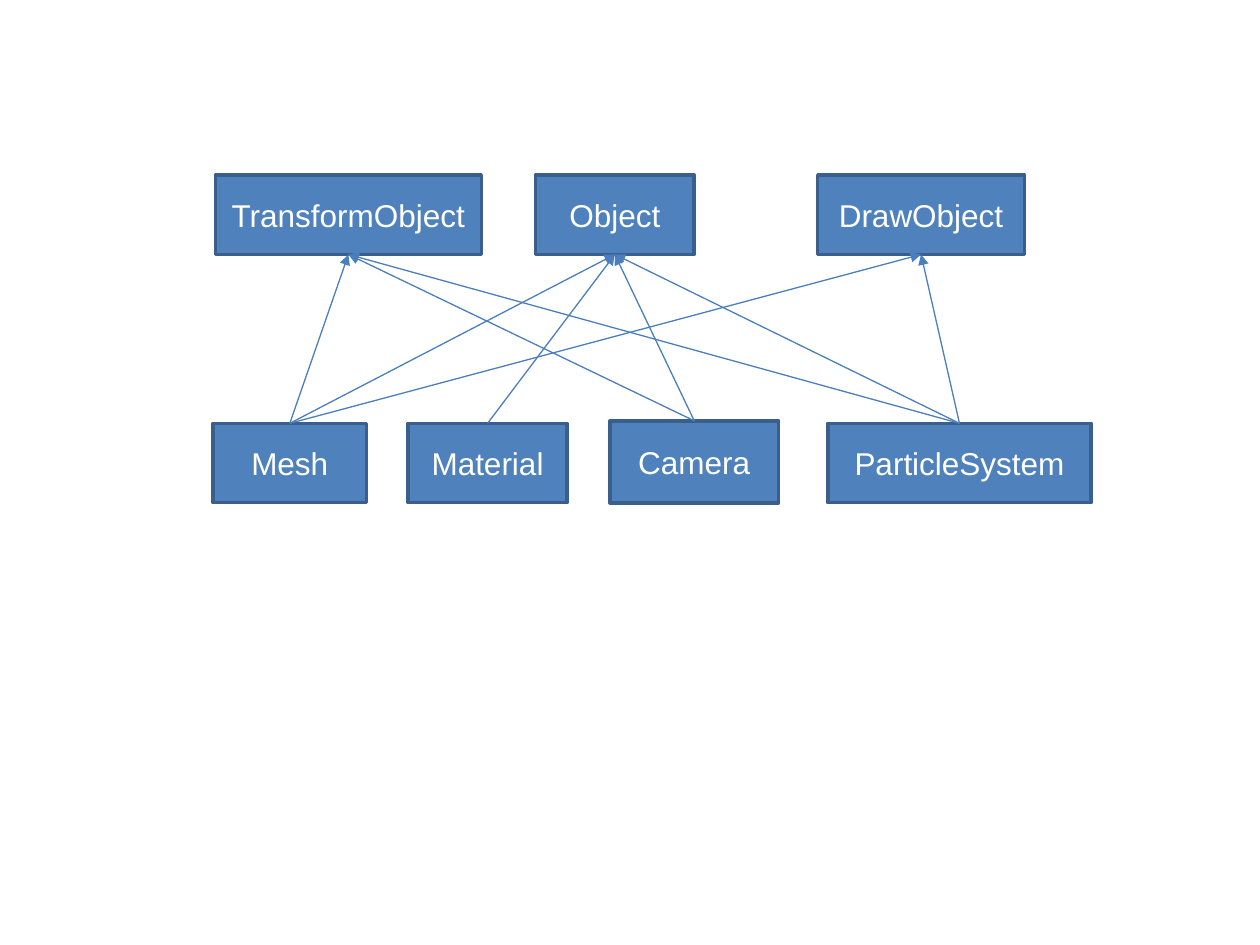
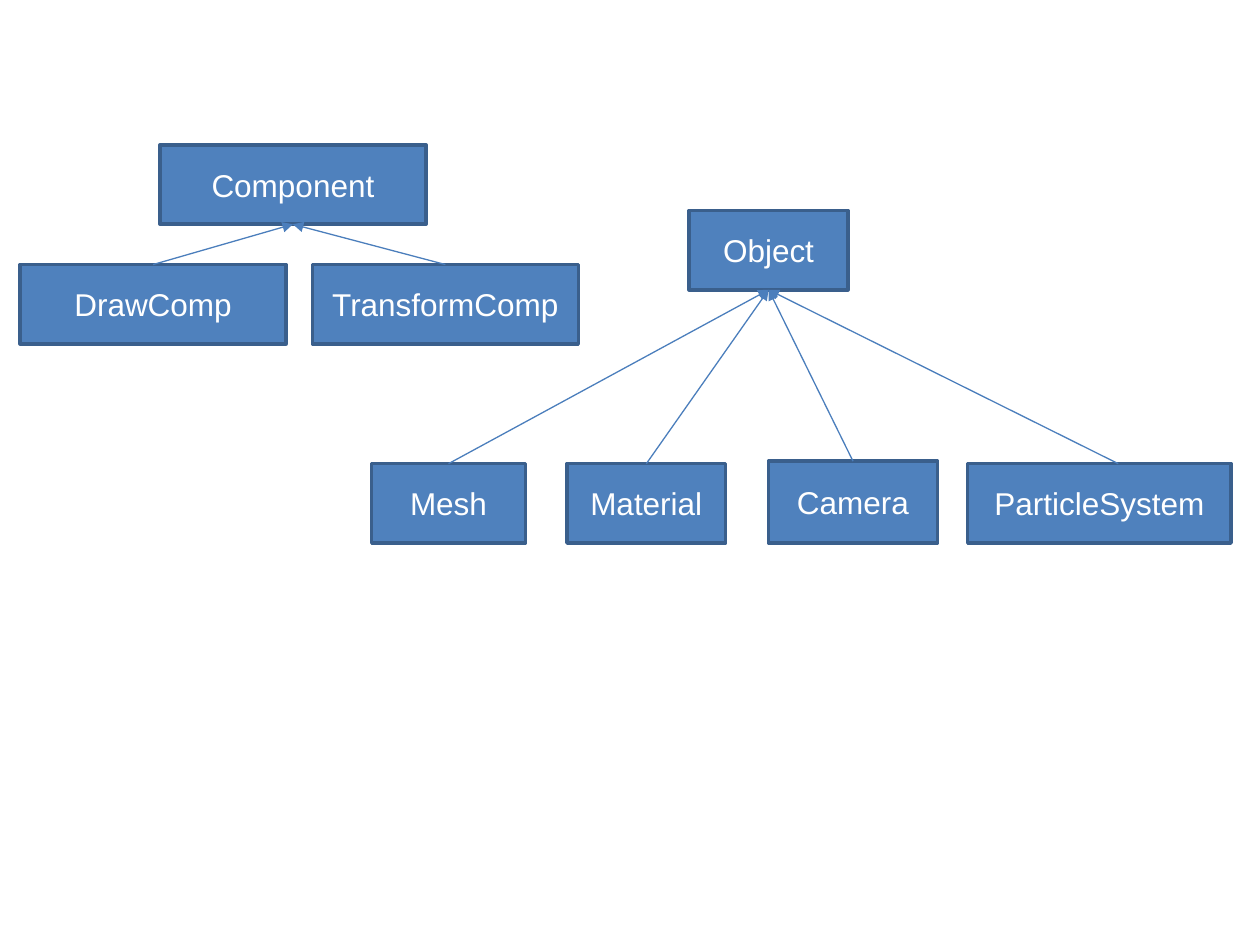
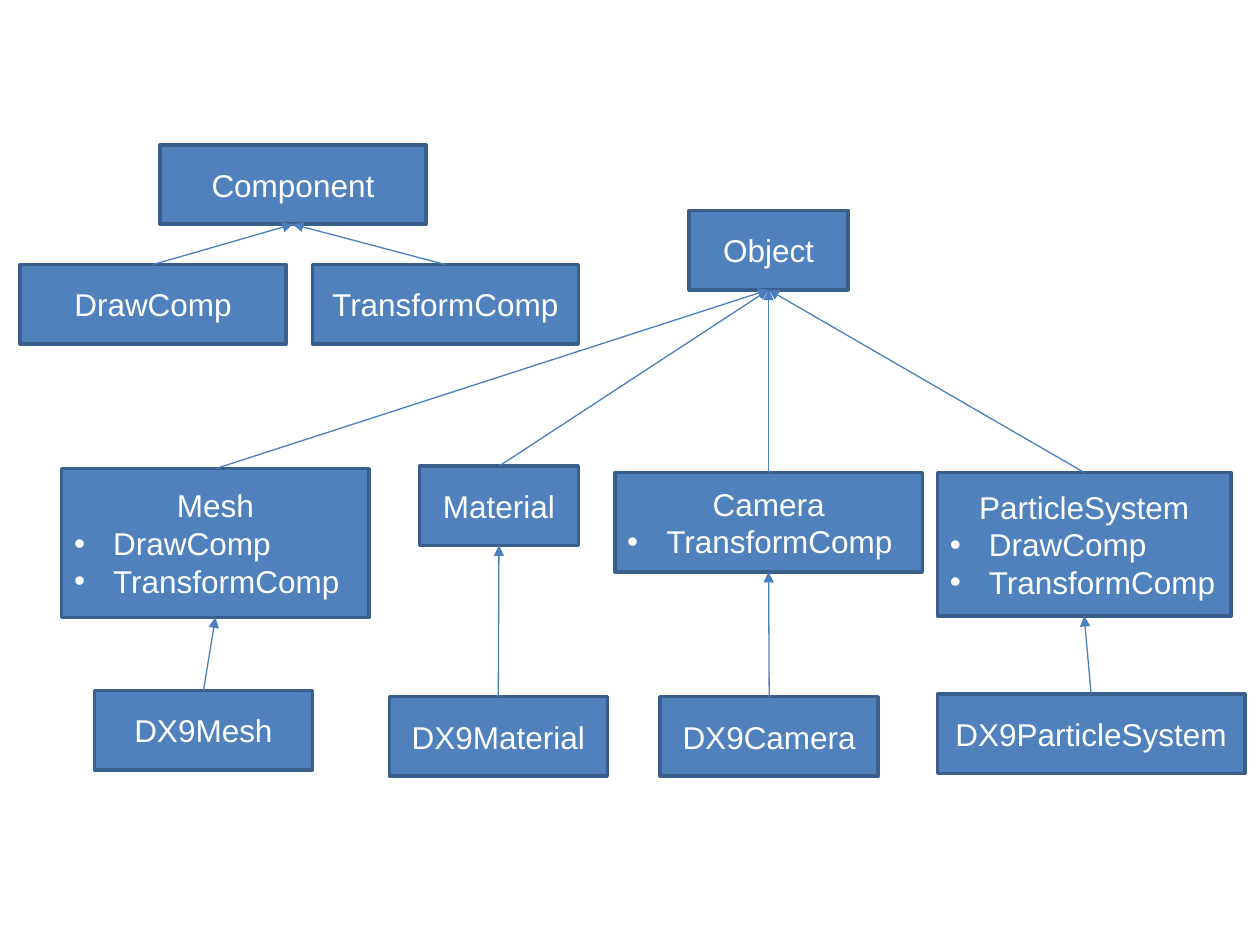
import pptx
import pptx.util
import pptx.dml.color
import pptx.enum.shapes
import pptx.enum.text
import pptx.oxml
import pptx.oxml.ns
import lxml.etree

Inches = pptx.util.Inches
HUES = {"fill": "4F81BD", "edge": "3A5F8C", "link": "4B7EBC", "text": "FFFFFF"}
FONT = "Arial"
HIGH = 0.63  # usual box height
WIDE = 2.11  # usual component width
HANG = 0.31  # bullet indent


def hue(name):
    return pptx.dml.color.RGBColor.from_string(HUES[name])


def sub(host, tag, **attrs):
    return lxml.etree.SubElement(host, pptx.oxml.ns.qn(tag), attrs)


def write(para, text):
    run = para.add_run()
    run.text = text
    run.font.name = FONT
    run.font.size = pptx.util.Pt(18)
    run.font.color.rgb = hue("text")


def node(slide, name, left, top, width, height=HIGH, parts=()):
    """Class box with its name and a bullet for each part."""
    shape = slide.shapes.add_shape(
        pptx.enum.shapes.MSO_SHAPE.FLOWCHART_PROCESS,
        Inches(left), Inches(top), Inches(width), Inches(height))
    shape.shadow.inherit = False
    shape.fill.solid()
    shape.fill.fore_color.rgb = hue("fill")
    shape.line.color.rgb = hue("edge")
    shape.line.width = pptx.util.Pt(2)
    frame = shape.text_frame
    frame.word_wrap = True
    frame.vertical_anchor = pptx.enum.text.MSO_ANCHOR.MIDDLE
    para = frame.paragraphs[0]
    para.alignment = pptx.enum.text.PP_ALIGN.CENTER
    write(para, name)
    for part in parts:
        para = frame.add_paragraph()
        para.alignment = pptx.enum.text.PP_ALIGN.LEFT
        props = para._p.get_or_add_pPr()
        props.set("marL", str(Inches(HANG)))
        props.set("indent", str(-Inches(HANG)))
        sub(props, "a:buFont", typeface=FONT)
        sub(props, "a:buChar", char="•")
        write(para, part)
    return shape


def link(slide, child, base, shift=0):
    """Arrow from the top of a child to the foot of its base."""
    line = slide.shapes.add_connector(
        pptx.enum.shapes.MSO_CONNECTOR.STRAIGHT,
        child.left + child.width // 2 + Inches(shift), child.top,
        base.left + base.width // 2, base.top + base.height)
    line.line.color.rgb = hue("link")
    line.line.width = pptx.util.Pt(0.75)
    sub(line.line._get_or_add_ln(), "a:tailEnd", type="triangle")
    sub(line._element.spPr, "a:effectLst")


def leaves(slide, left, top, last):
    """Row of the four object classes; last is the offset of the final box."""
    return [
        node(slide, "Mesh", left, top, 1.22),
        node(slide, "Material", left + 1.55, top, 1.26),
        node(slide, "Camera", left + 3.15, top - 0.02, 1.34, 0.65),
        node(slide, "ParticleSystem", left + last, top, 2.09),
    ]


def comps(slide, left, top):
    """Component class above its two kinds."""
    base = node(slide, "Component", left + 1.11, top, WIDE)
    for i, name in enumerate(["DrawComp", "TransformComp"]):
        link(slide, node(slide, name, left + i * 2.32, top + 0.95, WIDE), base)


def mixed(slide):
    """Objects that inherit from several bases."""
    mesh, stuff, cam, dust = leaves(slide, 1.69, 3.36, 4.88)
    # name, left, width, children
    bases = [
        ("Object", 4.25, 1.26, [mesh, stuff, cam, dust]),
        ("TransformObject", 1.71, WIDE, [mesh, cam, dust]),
        ("DrawObject", 6.49, 1.64, [mesh, dust]),
    ]
    for name, left, width, kids in bases:
        base = node(slide, name, left, 1.39, width)
        for kid in kids:
            link(slide, kid, base)


def split(slide):
    """Components apart from a single object base."""
    comps(slide, 0.16, 1.15)
    base = node(slide, "Object", 5.47, 1.67, 1.26)
    kids = leaves(slide, 2.95, 3.68, 4.73)
    for kid, shift in zip(kids, [0, 0, 0, 0.15]):
        link(slide, kid, base, shift)


def owned(slide):
    """Objects that hold components, each with a DX9 version."""
    comps(slide, 0.16, 1.15)
    base = node(slide, "Object", 5.47, 1.67, 1.26)
    draw, move = "DrawComp", "TransformComp"
    # name, box, parts, box of the DX9 class
    rows = [
        ("Mesh", (0.49, 3.72, 2.44, 1.18), [draw, move], (0.75, 5.48, 1.73)),
        ("Material", (3.33, 3.7, 1.26, HIGH), [], (3.09, 5.53, 1.73)),
        ("Camera", (4.88, 3.75, 2.44, 0.79), [move], (5.24, 5.53, 1.73)),
        ("ParticleSystem", (7.44, 3.75, 2.33, 1.14), [draw, move],
         (7.44, 5.51, 2.44)),
    ]
    for name, box, parts, low in rows:
        kid = node(slide, name, *box, parts)
        link(slide, kid, base)
        link(slide, node(slide, "DX9" + name, *low), kid)


def main():
    deck = pptx.Presentation()
    deck.slide_width, deck.slide_height = Inches(10), Inches(7.5)
    for draw in (mixed, split, owned):
        draw(deck.slides.add_slide(deck.slide_layouts[6]))
    deck.save("out.pptx")


if __name__ == "__main__":
    main()
